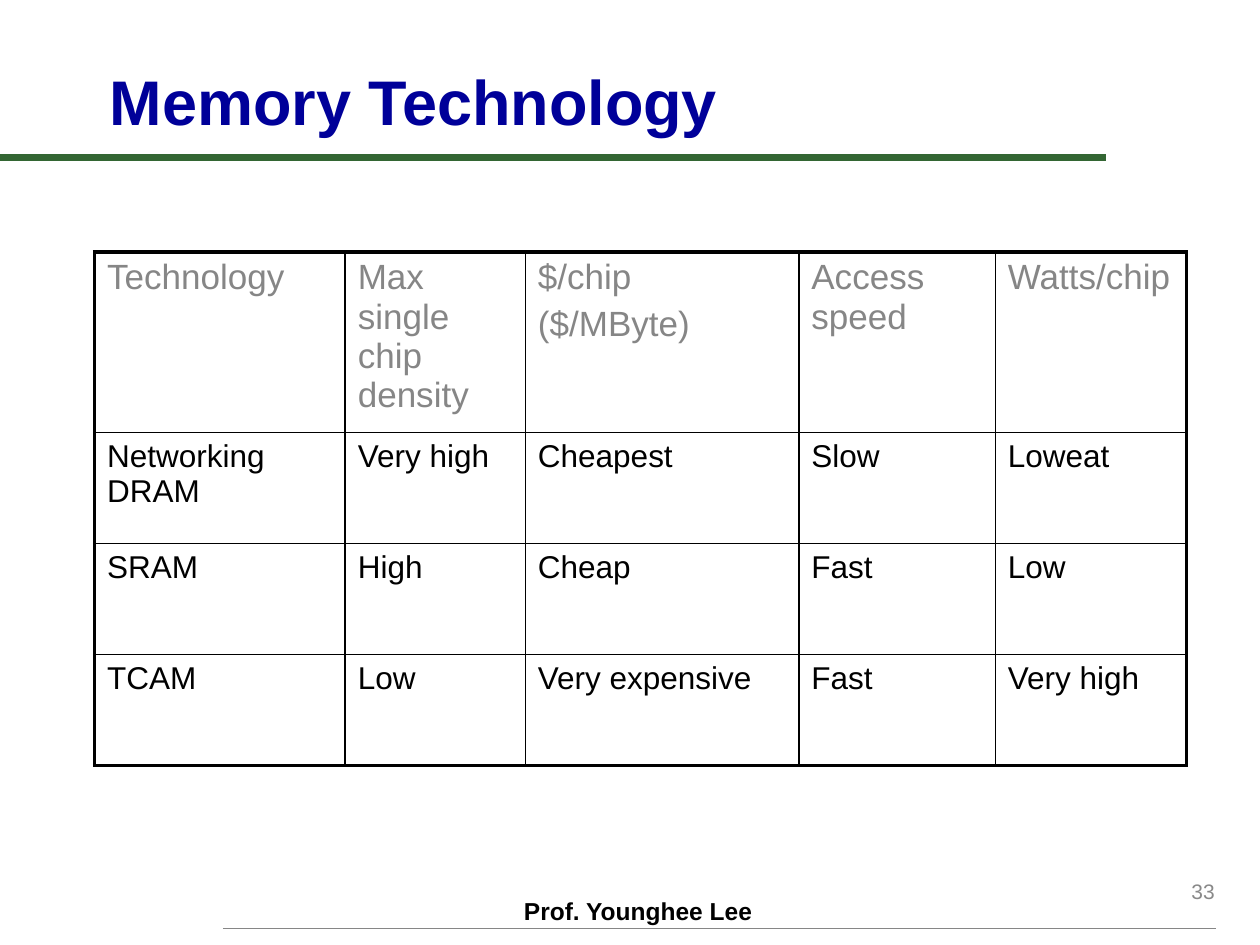
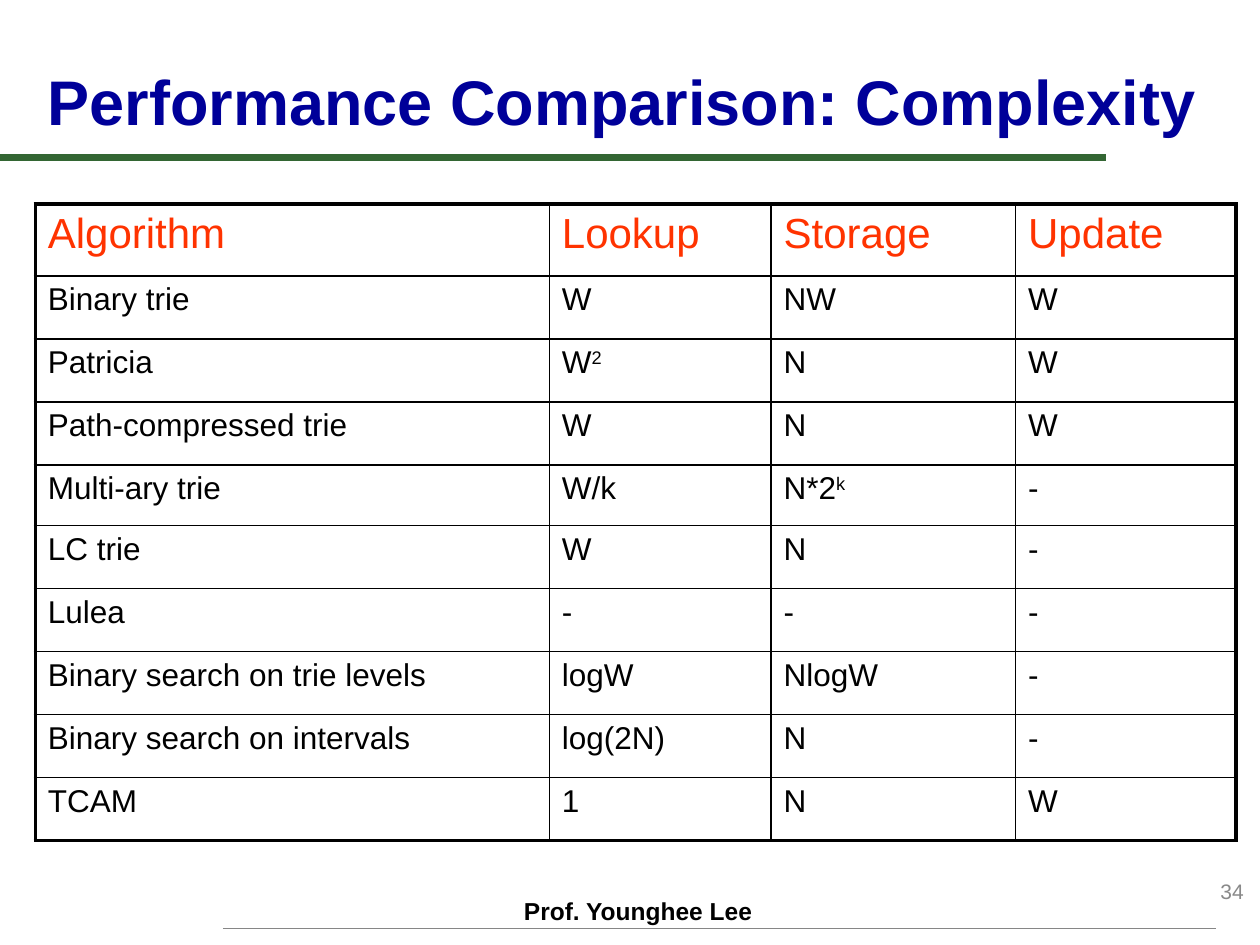
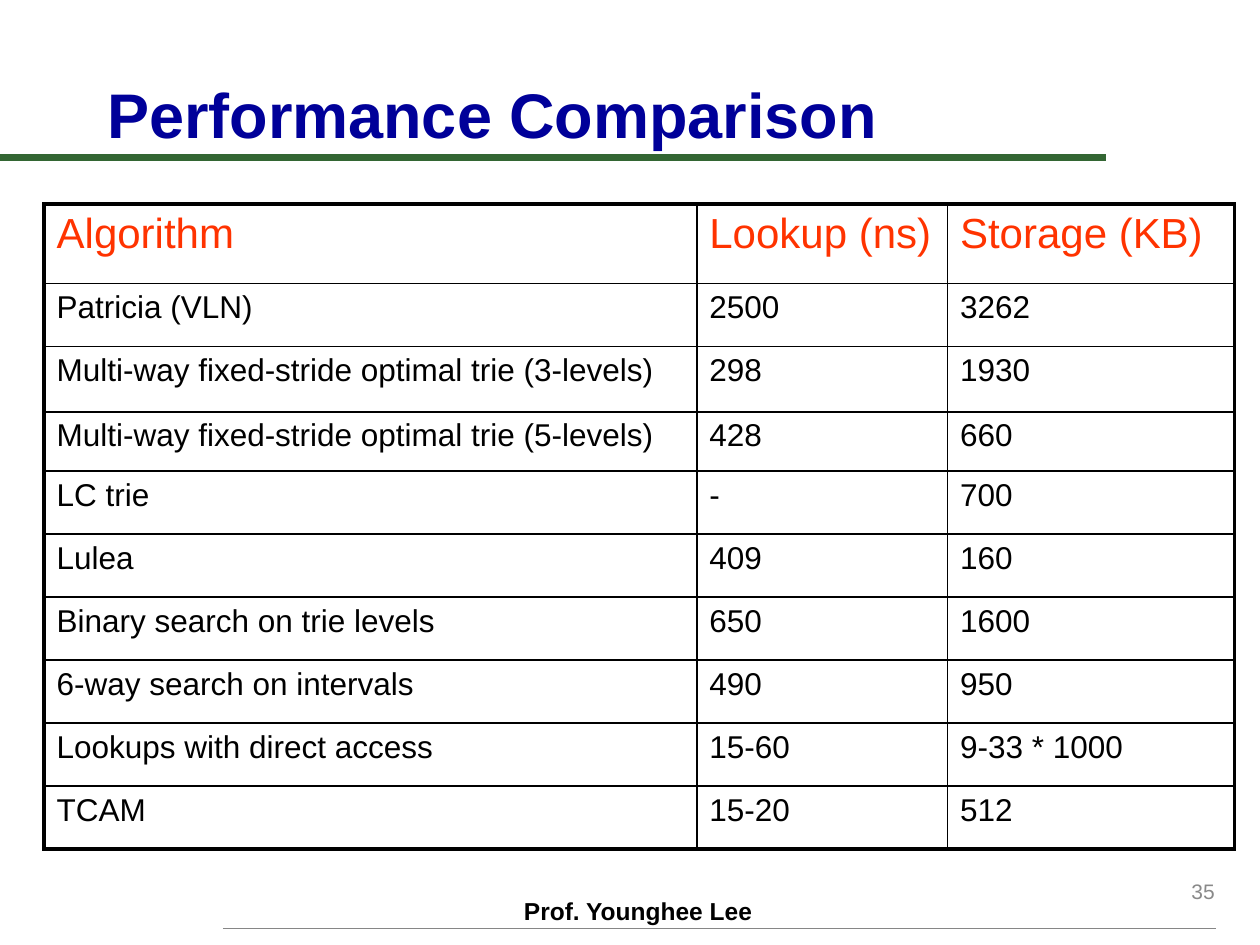
from lxml.etree import SubElement
from pptx import Presentation
from pptx.dml.color import RGBColor
from pptx.enum.shapes import MSO_CONNECTOR
from pptx.enum.text import MSO_ANCHOR, MSO_AUTO_SIZE, PP_ALIGN
from pptx.oxml.ns import qn
from pptx.util import Inches, Pt

BLACK = RGBColor(0x00, 0x00, 0x00)
WHITE = RGBColor(0xFF, 0xFF, 0xFF)
NAVY = RGBColor(0x00, 0x00, 0x99)
GREEN = RGBColor(0x33, 0x66, 0x33)
GRAY = RGBColor(0x86, 0x86, 0x86)
NUMBER_GRAY = RGBColor(0x89, 0x89, 0x89)
ORANGE = RGBColor(0xFF, 0x33, 0x00)

TITLE_STYLE = {"size": Pt(36), "bold": True, "color": NAVY}
FOOTER_STYLE = {"size": Pt(14), "bold": True, "color": BLACK}
NUMBER_STYLE = {"size": Pt(12), "color": NUMBER_GRAY}
BODY_STYLE = {"size": Pt(18), "color": BLACK}
GRAY_HEADER = {"size": Pt(20), "color": GRAY}
ORANGE_HEADER = {"size": Pt(24), "color": ORANGE}

FOOTER = "Prof. Younghee Lee"
FIRST_NUMBER = 33
OUTER_BORDER, INNER_BORDER = Pt(2.25), Pt(1)
RULES = [  # left, right, height on the slide, colour, width
    (0, 8.78, 1.25, GREEN, Pt(4)),
    (1.77, 9.65, 7.37, GRAY, Pt(1)),
]

# In cells, "\n" starts a paragraph and "^" raises what follows it.
SLIDES = [
    {
        "title": "Memory Technology",
        "title_box": (0.77, 0.44, 8.15, 0.71),
        "number_box": (7.66, 6.82, 2.08, 0.5),
        "table_box": (0.75, 2, 8.67, 4.08),
        "header_style": GRAY_HEADER,
        "columns": [1.99, 1.43, 2.17, 1.56, 1.52],
        "heights": [1.02] + [0.88] * 3,
        "rows": [
            ("Technology", "Max single chip density", "$/chip\n($/MByte)",
             "Access speed", "Watts/chip"),
            ("Networking DRAM", "Very high", "Cheapest", "Slow", "Loweat"),
            ("SRAM", "High", "Cheap", "Fast", "Low"),
            ("TCAM", "Low", "Very expensive", "Fast", "Very high"),
        ],
    },
    {
        "title": "Performance Comparison: Complexity",
        "title_box": (0.28, 0.44, 9.53, 0.71),
        "number_box": (7.53, 6.82, 2.44, 0.5),
        "table_box": (0.28, 1.62, 9.53, 5.05),
        "header_style": ORANGE_HEADER,
        "columns": [4.08, 1.76, 1.94, 1.75],
        "heights": [0.57] + [0.5] * 3 + [0.48] + [0.5] * 5,
        "rows": [
            ("Algorithm", "Lookup", "Storage", "Update"),
            ("Binary trie", "W", "NW", "W"),
            ("Patricia", "W^2", "N", "W"),
            ("Path-compressed trie", "W", "N", "W"),
            ("Multi-ary trie", "W/k", "N*2^k", "-"),
            ("LC trie", "W", "N", "-"),
            ("Lulea", "-", "-", "-"),
            ("Binary search on trie levels", "logW", "NlogW", "-"),
            ("Binary search on intervals", "log(2N)", "N", "-"),
            ("TCAM", "1", "N", "W"),
        ],
    },
    {
        "title": "Performance Comparison",
        "title_box": (0.75, 0, 8.5, 1.25),
        "number_box": (7.66, 6.82, 2.08, 0.5),
        "table_box": (0.35, 1.62, 9.45, 5.12),
        "header_style": ORANGE_HEADER,
        "columns": [5.18, 1.99, 2.28],
        "heights": [0.63, 0.5, 0.52, 0.47] + [0.5] * 6,
        "rows": [
            ("Algorithm", "Lookup (ns)", "Storage (KB)"),
            ("Patricia (VLN)", "2500", "3262"),
            ("Multi-way fixed-stride optimal trie (3-levels)", "298", "1930"),
            ("Multi-way fixed-stride optimal trie (5-levels)", "428", "660"),
            ("LC trie", "-", "700"),
            ("Lulea", "409", "160"),
            ("Binary search on trie levels", "650", "1600"),
            ("6-way search on intervals", "490", "950"),
            ("Lookups with direct access", "15-60", "9-33 * 1000"),
            ("TCAM", "15-20", "512"),
        ],
    },
]


def add_run(paragraph, text, style):
    run = paragraph.add_run()
    run.text = text
    run.font.name = "Arial"
    for name, value in style.items():
        if name == "color":
            run.font.color.rgb = value
        else:
            setattr(run.font, name, value)
    return run


def add_label(slide, box, text, style, align, anchor):
    frame = slide.shapes.add_textbox(*map(Inches, box)).text_frame
    frame.word_wrap = True
    frame.vertical_anchor = anchor
    frame.paragraphs[0].alignment = align
    add_run(frame.paragraphs[0], text, style)


def add_rule(slide, left, right, y, color, width):
    line = slide.shapes.add_connector(
        MSO_CONNECTOR.STRAIGHT, *map(Inches, (left, y, right, y)))
    line.line.color.rgb = color
    line.line.width = width
    SubElement(line._element.spPr, qn("a:effectLst"))


def add_title(slide, text, box):
    title = slide.shapes.title
    title.left, title.top, title.width, title.height = map(Inches, box)
    frame = title.text_frame
    frame.auto_size = MSO_AUTO_SIZE.NONE
    frame.word_wrap = True
    frame.vertical_anchor = MSO_ANCHOR.BOTTOM
    frame.paragraphs[0].alignment = PP_ALIGN.LEFT
    add_run(frame.paragraphs[0], text, TITLE_STYLE)


def set_borders(cell, widths):
    """Draw black borders; widths maps L, R, T and B, in that order."""
    properties = cell._tc.get_or_add_tcPr()
    for side, width in widths.items():
        line = SubElement(properties, qn(f"a:ln{side}"), w=str(int(width)))
        fill = SubElement(line, qn("a:solidFill"))
        SubElement(fill, qn("a:srgbClr"), val=str(BLACK))


def fill_cell(cell, text, style):
    frame = cell.text_frame
    for index, line in enumerate(text.split("\n")):
        if index:
            paragraph = frame.add_paragraph()
            paragraph.space_before = Pt(style["size"].pt * 0.2)
        else:
            paragraph = frame.paragraphs[0]
        base, _, raised = line.partition("^")
        add_run(paragraph, base, style)
        if raised:
            run = add_run(paragraph, raised, style)
            run.font._element.set("baseline", "30000")


def add_grid(slide, content):
    rows, columns, heights = (content[key] for key in ("rows", "columns", "heights"))
    box = [Inches(length) for length in content["table_box"]]
    graphic_frame = slide.shapes.add_table(len(rows), len(columns), *box)
    table = graphic_frame.table
    table.first_row = table.horz_banding = False
    for column, width in zip(table.columns, columns):
        column.width = Inches(width)
    for row, height in zip(table.rows, heights):
        row.height = Inches(height)
    graphic_frame.height = box[3]  # leaves room for a header row that grows

    last_row, last_column = len(rows) - 1, len(columns) - 1
    for r, texts in enumerate(rows):
        style = BODY_STYLE if r else content["header_style"]
        for c, text in enumerate(texts):
            cell = table.cell(r, c)
            at_edge = {"L": c == 0, "R": c == last_column,
                       "T": r == 0, "B": r == last_row}
            set_borders(cell, {side: OUTER_BORDER if edge else INNER_BORDER
                               for side, edge in at_edge.items()})
            cell.fill.solid()
            cell.fill.fore_color.rgb = WHITE
            fill_cell(cell, text, style)


def main():
    presentation = Presentation()
    presentation.slide_width, presentation.slide_height = Inches(10), Inches(7.5)
    title_only = presentation.slide_layouts[5]
    for number, content in enumerate(SLIDES, FIRST_NUMBER):
        slide = presentation.slides.add_slide(title_only)
        for rule in RULES:
            add_rule(slide, *rule)
        add_label(slide, (4.06, 7.06, 2.08, 0.33), FOOTER, FOOTER_STYLE,
                  PP_ALIGN.LEFT, MSO_ANCHOR.TOP)
        add_label(slide, content["number_box"], str(number), NUMBER_STYLE,
                  PP_ALIGN.RIGHT, MSO_ANCHOR.MIDDLE)
        add_title(slide, content["title"], content["title_box"])
        add_grid(slide, content)
    presentation.save("out.pptx")


if __name__ == "__main__":
    main()
